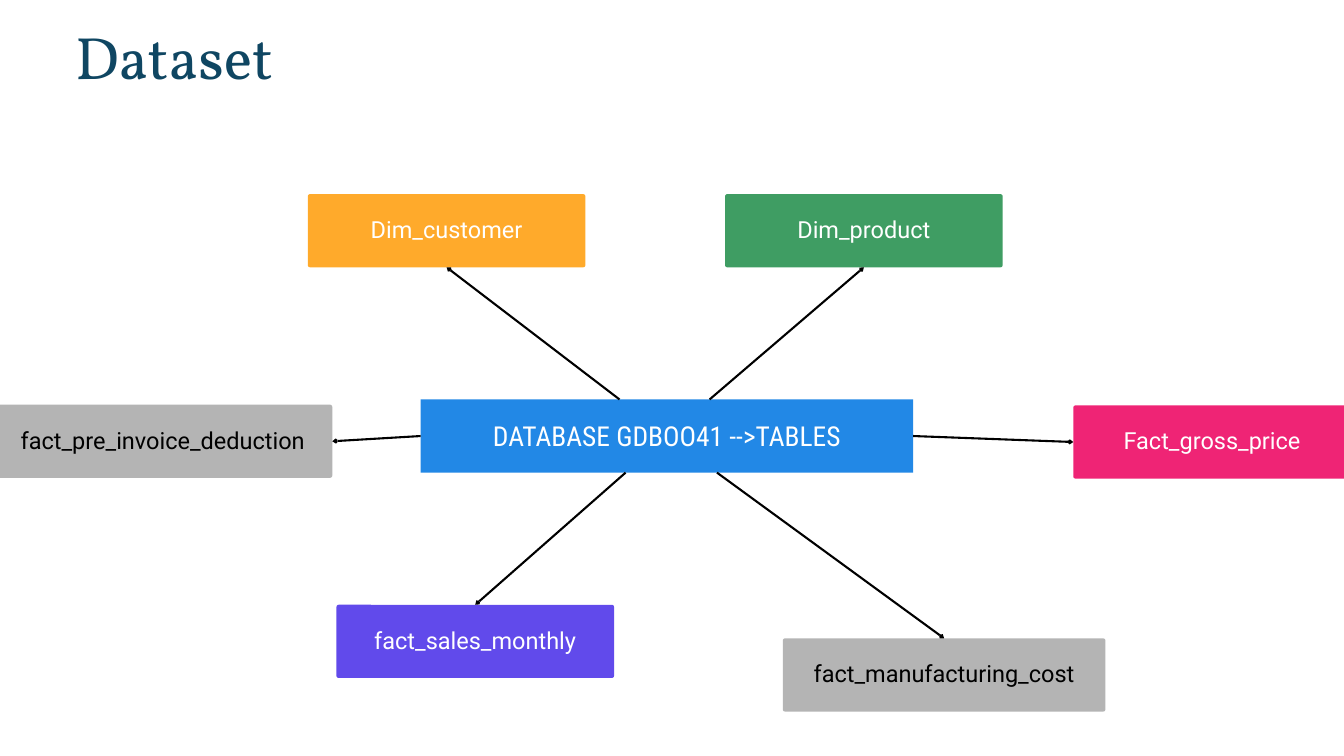
from typing import NamedTuple

from lxml import etree
from pptx import Presentation
from pptx.dml.color import RGBColor
from pptx.enum import shapes, text
from pptx.oxml import ns
from pptx.util import Pt

HUES = {
    "ink": "0F4662", "black": "000000", "white": "FFFFFF", "hub": "2288E6",
    "amber": "FFAA2B", "green": "3F9D63", "grey": "B4B4B4",
    "violet": "614AEB", "pink": "EF2475",
}
TALL = 78.4


class Box(NamedTuple):
    """A filled label with its place, width and colours."""
    label: str
    x: float
    y: float
    wide: float
    fill: str
    ink: str = "white"

    def edge(self, side: str) -> tuple[float, float]:
        """Return the midpoint of one side."""
        mid = self.x + self.wide / 2
        return {
            "top": (mid, self.y),
            "bottom": (mid, self.y + TALL),
            "left": (self.x, self.y + TALL / 2),
            "right": (self.x + self.wide, self.y + TALL / 2),
        }[side]


class Link(NamedTuple):
    """An arrow from a point on the hub to one side of a table box."""
    start: tuple[float, float]
    box: Box
    side: str


HUB = Box("DATABASE GDBOO41 -->TABLES", 450.7, 428, 527.7, "hub")
ROOF, FLOOR = HUB.y, HUB.y + TALL
LINKS = [
    Link((663.8, ROOF), Box("Dim_customer", 329.8, 208, 297.4, "amber"), "bottom"),
    Link(HUB.edge("left"), Box("fact_pre_invoice_deduction", -7.2, 433.6, 363.2, "grey", "black"), "right"),
    Link((670.3, FLOOR), Box("fact_sales_monthly", 360.5, 648, 297.4, "violet"), "top"),
    Link((768.2, FLOOR), Box("fact_manufacturing_cost", 838.8, 684, 345.6, "grey", "black"), "top"),
    Link(HUB.edge("right"), Box("Fact_gross_price", 1150, 434.4, 297.4, "pink"), "left"),
    Link((760.3, ROOF), Box("Dim_product", 776.9, 208, 297.4, "green"), "bottom"),
]


def tint(name: str) -> RGBColor:
    """Return a named colour."""
    return RGBColor.from_string(HUES[name])


def write(shape, words: str, *, font: str, size: float, ink: str, lead: float,
          align=text.PP_ALIGN.LEFT, anchor=text.MSO_ANCHOR.TOP,
          pad: float = 0, base: float = 0) -> None:
    """Set the text of a shape and its format."""
    frame = shape.text_frame
    frame.word_wrap = True
    frame.vertical_anchor = anchor
    frame.margin_left = frame.margin_right = frame.margin_top = Pt(pad)
    frame.margin_bottom = Pt(base)
    line = frame.paragraphs[0]
    line.alignment, line.line_spacing = align, Pt(lead)
    run = line.add_run()
    run.text = words
    run.font.name, run.font.size = font, Pt(size)
    run.font.color.rgb = tint(ink)


def draw_box(slide, box: Box, kind, *, font: str, size: float,
             lead: float, base: float) -> None:
    """Draw a filled box with a centred label."""
    shape = slide.shapes.add_shape(kind, Pt(box.x), Pt(box.y), Pt(box.wide), Pt(TALL))
    shape.shadow.inherit = False
    if kind == shapes.MSO_SHAPE.ROUNDED_RECTANGLE:
        shape.adjustments[0] = 0.03
    shape.fill.solid()
    shape.fill.fore_color.rgb = tint(box.fill)
    shape.line.fill.background()
    write(shape, box.label, font=font, size=size, ink=box.ink, lead=lead,
          align=text.PP_ALIGN.CENTER, anchor=text.MSO_ANCHOR.MIDDLE,
          pad=0.7, base=base)


def draw_link(slide, link: Link) -> None:
    """Draw an arrow from the hub to a table box."""
    ends = (*link.start, *link.box.edge(link.side))
    arrow = slide.shapes.add_connector(shapes.MSO_CONNECTOR.STRAIGHT, *map(Pt, ends))
    arrow.line.width = Pt(2.25)
    arrow.line.color.rgb = tint("black")
    etree.SubElement(arrow.line._get_or_add_ln(), ns.qn("a:tailEnd"),
                     type="arrow", w="sm", len="sm")
    etree.SubElement(arrow._element.spPr, ns.qn("a:effectLst"))


def main() -> None:
    """Build the dataset slide."""
    deck = Presentation()
    deck.slide_width, deck.slide_height = Pt(1440), Pt(810)
    slide = deck.slides.add_slide(deck.slide_layouts[6])
    for link in LINKS:
        draw_box(slide, link.box, shapes.MSO_SHAPE.ROUNDED_RECTANGLE,
                 font="Roboto", size=25.2, lead=30.3, base=4)
    draw_box(slide, HUB, shapes.MSO_SHAPE.RECTANGLE,
             font="Roboto Condensed", size=29.4, lead=35.4, base=2.2)
    for link in LINKS:
        draw_link(slide, link)
    title = slide.shapes.add_textbox(Pt(80.6), Pt(8.6), Pt(633.6), Pt(85.7))
    write(title, "Dataset", font="Vollkorn", size=64, ink="ink", lead=89.6)
    deck.save("out.pptx")


if __name__ == "__main__":
    main()
